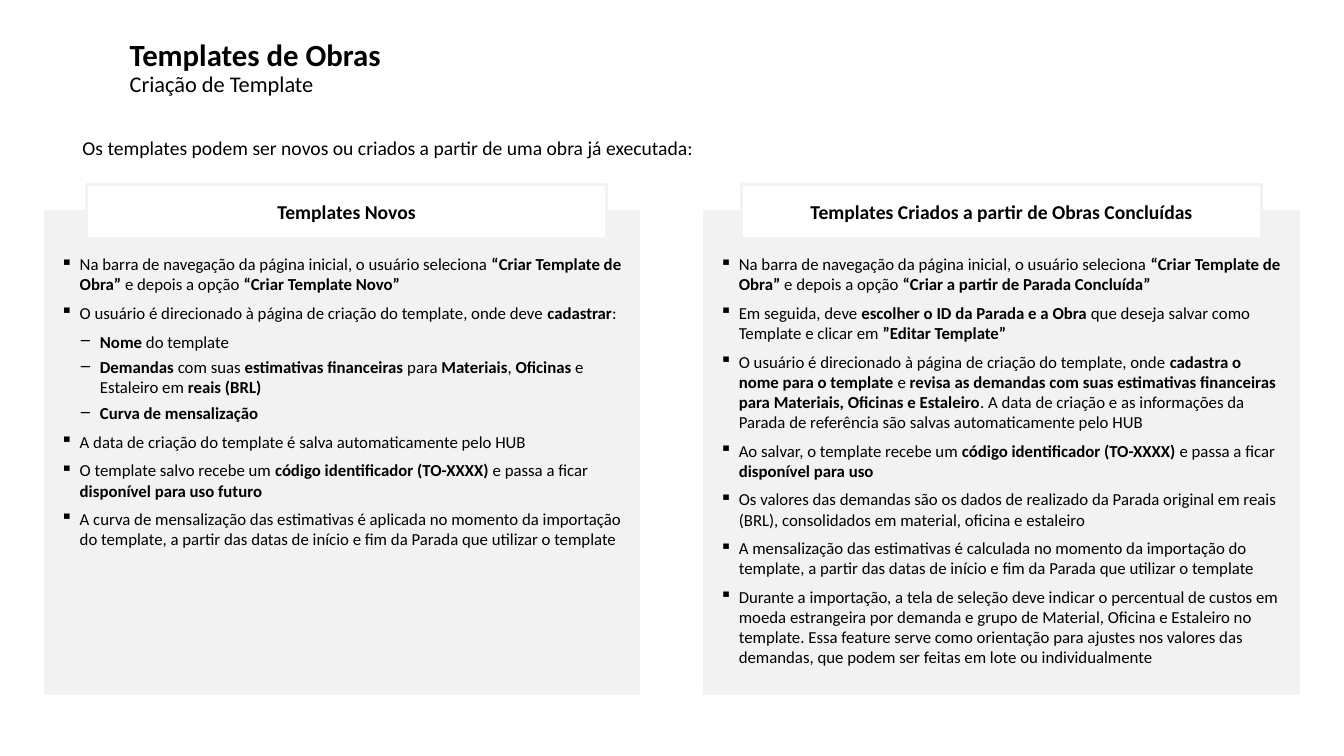
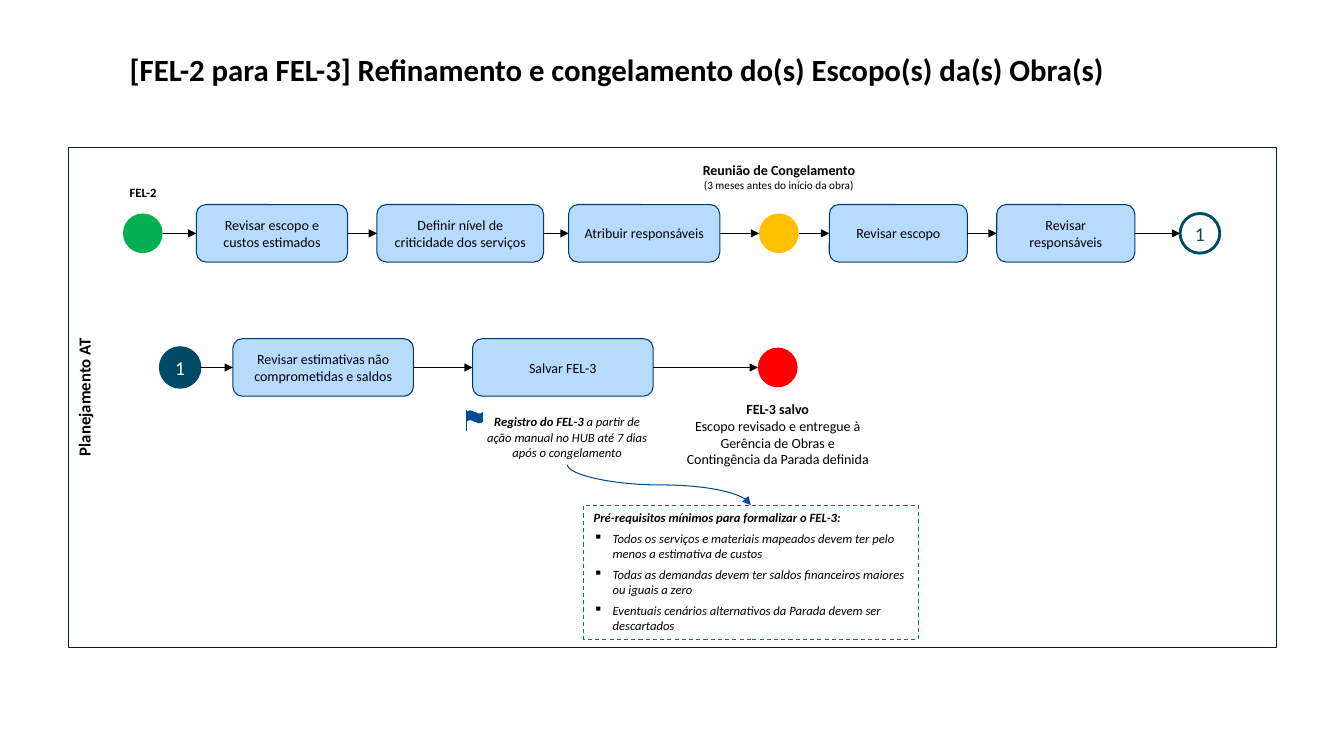
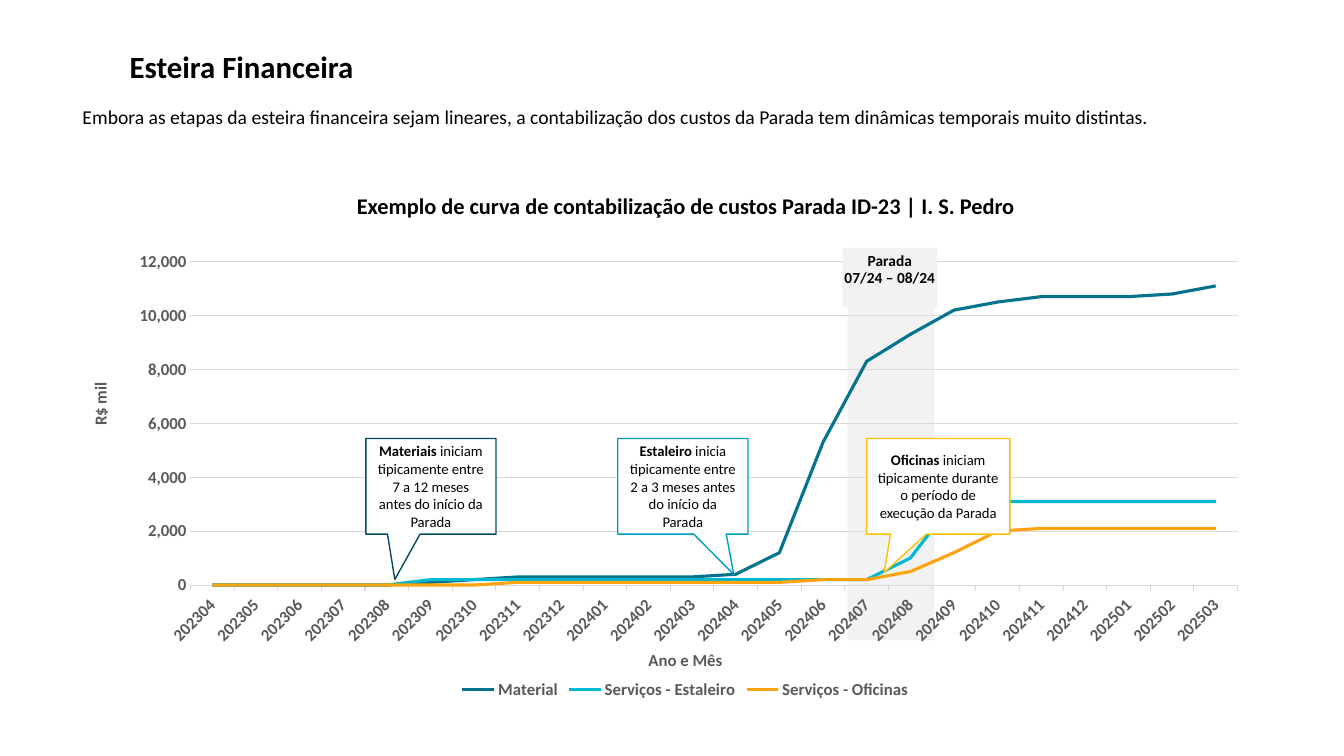
from dataclasses import dataclass

from lxml import etree
from pptx import Presentation
from pptx.chart.data import CategoryChartData
from pptx.dml.color import RGBColor
from pptx.enum.chart import XL_CHART_TYPE, XL_LEGEND_POSITION, XL_TICK_MARK
from pptx.enum.dml import MSO_LINE
from pptx.enum.shapes import MSO_CONNECTOR, MSO_SHAPE
from pptx.enum.text import MSO_ANCHOR, PP_ALIGN
from pptx.oxml.ns import qn
from pptx.util import Cm, Pt

LEFT, CENTER = PP_ALIGN.LEFT, PP_ALIGN.CENTER
TOP, MIDDLE = MSO_ANCHOR.TOP, MSO_ANCHOR.MIDDLE
RECT, ROUNDED, OVAL = MSO_SHAPE.RECTANGLE, MSO_SHAPE.ROUNDED_RECTANGLE, MSO_SHAPE.OVAL
CALLOUT, WAVE = MSO_SHAPE.RECTANGULAR_CALLOUT, MSO_SHAPE.WAVE
STRAIGHT, CURVE = MSO_CONNECTOR.STRAIGHT, MSO_CONNECTOR.CURVE


@dataclass(frozen=True)
class Theme:
    font: str = "Calibri"
    black: str = "000000"
    white: str = "FFFFFF"
    panel: str = "F2F2F2"
    grid: str = "D9D9D9"
    axis: str = "595959"
    step: str = "B7DBFF"
    step_edge: str = "003971"
    frame: str = "002142"
    navy: str = "014A65"
    link: str = "004A94"
    flag: str = "004C97"
    teal: str = "03738E"
    cyan: str = "00B9CE"
    sky: str = "009DC3"
    orange: str = "FDA30F"
    yellow: str = "FFC000"
    green: str = "00B050"
    red: str = "FF0000"
    title: float = 22
    subtitle: float = 16
    lead: float = 14
    body: float = 12
    label: float = 11
    callout: float = 10.5
    small: float = 10
    note: float = 9
    tiny: float = 8


T = Theme()

# Paragraph formats
ITEM = dict(bullet="▪", indent=0.48, before=6)
NOTE_ITEM = {**ITEM, "before": 4, "bold": False}
SUB_ITEM = dict(bullet="–", indent=0.99, before=4)
FIRST_SUB_ITEM = {**SUB_ITEM, "before": 6}

# Slide 1
TEMPLATES_LEAD = "Os templates podem ser novos ou criados a partir de uma obra já executada:"
NEW_STEPS = [
    ("Na barra de navegação da página inicial, o usuário seleciona **“Criar Template de Obra”** "
     "e depois a opção **“Criar Template Novo”**", ITEM),
    ("O usuário é direcionado à página de criação do template, onde deve **cadastrar**:", ITEM),
    ("**Nome** do template", FIRST_SUB_ITEM),
    ("**Demandas** com suas **estimativas financeiras **para **Materiais**, **Oficinas** "
     "e Estaleiro em **reais (BRL)**", SUB_ITEM),
    ("**Curva de mensalização**", SUB_ITEM),
    ("A data de criação do template é salva automaticamente pelo HUB", ITEM),
    ("O template salvo recebe um **código identificador (TO-XXXX) **e passa a ficar "
     "**disponível para uso futuro**", ITEM),
    ("A curva de mensalização das estimativas é aplicada no momento da importação do template, "
     "a partir das datas de início e fim da Parada que utilizar o template", ITEM),
]
REUSED_STEPS = [
    ("Na barra de navegação da página inicial, o usuário seleciona **“Criar Template de Obra”** "
     "e depois a opção **“Criar a partir de Parada Concluída”**", ITEM),
    ("Em seguida, deve **escolher o ID da Parada e a Obra **que deseja salvar como Template "
     "e clicar em **”Editar Template”**", ITEM),
    ("O usuário é direcionado à página de criação do template, onde **cadastra o nome para o "
     "template **e **revisa as demandas com suas estimativas financeiras para Materiais, "
     "Oficinas e Estaleiro**. A data de criação e as informações da Parada de referência são "
     "salvas automaticamente pelo HUB", ITEM),
    ("Ao salvar, o template recebe um **código identificador (TO-XXXX) **e passa a ficar "
     "**disponível para uso**", ITEM),
    ("Os valores das demandas são os dados de realizado da Parada original em reais (BRL), "
     "consolidados em material, oficina e estaleiro", ITEM),
    ("A mensalização das estimativas é calculada no momento da importação do template, "
     "a partir das datas de início e fim da Parada que utilizar o template", ITEM),
    ("Durante a importação, a tela de seleção deve indicar o percentual de custos em moeda "
     "estrangeira por demanda e grupo de Material, Oficina e Estaleiro no template. Essa feature "
     "serve como orientação para ajustes nos valores das demandas, que podem ser feitas em lote "
     "ou individualmente", ITEM),
]
# heading, panel left, heading left, steps
TEMPLATE_PANELS = [
    ("Templates Novos", 1.12, 2.18, NEW_STEPS),
    ("Templates Criados a partir de Obras Concluídas", 17.73, 18.69, REUSED_STEPS),
]

# Slide 2: row centre, then left, width and label of a step, or left, fill, edge and label of an event
STEP_HEIGHT, EVENT_SIZE = 1.45, 1.0
FLOW_ROWS = [
    (5.88, [
        dict(left=3.1, fill=T.green),
        dict(left=4.95, width=3.81, label="Revisar escopo e custos estimados"),
        dict(left=9.5, width=4.2, label="Definir nível de criticidade dos serviços"),
        dict(left=14.33, width=3.81, label="Atribuir responsáveis"),
        dict(left=19.13, fill=T.yellow),
        dict(left=20.9, width=3.48, label="Revisar escopo"),
        dict(left=25.12, width=3.48, label="Revisar responsáveis"),
        dict(left=29.74, fill=T.white, edge=T.navy, label="1", color=T.navy),
    ]),
    (9.26, [
        dict(left=4.04, fill=T.navy, edge=T.navy, label="1", color=T.white),
        dict(left=5.87, width=4.55, label="Revisar estimativas não comprometidas e saldos"),
        dict(left=11.91, width=4.55, label="Salvar FEL-3"),
        dict(left=19.1, fill=T.red),
    ]),
]
# box, paragraphs, format
FLOW_NOTES = [
    ((2.13, 4.52, 2.95, 0.64), ["**FEL-2**"], dict(size=T.note)),
    ((17.27, 3.94, 4.72, 1.02),
     ["**Reunião de Congelamento**", ("(3 meses antes do início da obra)", dict(size=T.tiny))],
     dict(size=T.small)),
    ((17.0, 9.96, 5.2, 1.96),
     ["**FEL-3 salvo**", "Escopo revisado e entregue à Gerência de Obras e",
      "Contingência da Parada definida"], dict(size=T.small)),
    ((11.94, 10.31, 4.7, 1.42),
     ["**Registro do FEL-3 **a partir de ação manual no HUB até 7 dias após o congelamento"],
     dict(size=T.note, italic=True)),
]
PREREQUISITES = [
    "**Pré-requisitos mínimos para formalizar o FEL-3:**",
    ("Todos os serviços e materiais mapeados devem ter pelo menos a estimativa de custos", NOTE_ITEM),
    ("Todas as demandas devem ter saldos financeiros maiores ou iguais a zero", NOTE_ITEM),
    ("Eventuais cenários alternativos da Parada devem ser descartados", NOTE_ITEM),
]

# Slide 3
FINANCE_LEAD = ("Embora as etapas da esteira financeira sejam lineares, a contabilização dos custos "
                "da Parada tem dinâmicas temporais muito distintas.")
CHART_HEADING = "Exemplo de curva de contabilização de custos Parada ID-23 | I. S. Pedro"
MONTHS = [f"{year}{month:02}" for year, first, last in ((2023, 4, 12), (2024, 1, 12), (2025, 1, 3))
          for month in range(first, last + 1)]
COSTS = [
    ("Material", T.teal, [0] * 5 + [100, 200] + [300] * 5 + [
        400, 1200, 5300, 8300, 9300, 10200, 10500, 10700, 10700, 10700, 10800, 11100]),
    ("Serviços - Estaleiro", T.cyan, [0] * 5 + [200] * 11 + [1000] + [3100] * 7),
    ("Serviços - Oficinas", T.orange,
     [0] * 7 + [100] * 7 + [200, 200, 500, 1200, 2000] + [2100] * 5),
]
# left, width, pointer, edge, text
CALLOUTS = [
    (9.22, 3.28, (-0.277, 0.974), T.navy,
     "**Materiais** iniciam tipicamente entre 7 a 12 meses antes do início da Parada"),
    (15.57, 3.28, (0.391, 0.921), T.sky,
     "**Estaleiro** inicia tipicamente entre 2 a 3 meses antes do início da Parada"),
    (21.84, 3.61, (-0.376, 0.899), T.yellow,
     "**Oficinas** iniciam tipicamente durante o período de execução da Parada"),
]


def rgb(code):
    return RGBColor.from_string(code)


def write(shape, paragraphs, *, anchor=TOP, insets=(0.25, 0.13), **base):
    """Fill a shape with paragraphs: strings, or (string, format) pairs; ** marks bold."""
    frame = shape.text_frame
    frame.word_wrap = True
    frame.vertical_anchor = anchor
    frame.margin_left = frame.margin_right = Cm(insets[0])
    frame.margin_top = Cm(insets[1])
    frame.margin_bottom = Cm(min(insets[1], 0.13))
    for index, entry in enumerate(paragraphs):
        words, own = (entry, {}) if isinstance(entry, str) else entry
        style = {**base, **own}
        paragraph = frame.add_paragraph() if index else frame.paragraphs[0]
        paragraph.alignment = style.get("align", LEFT)
        paragraph.line_spacing = style.get("spacing", 1.0)
        paragraph.space_before = Pt(style.get("before", 0) if index else 0)
        if "bullet" in style:
            props = paragraph._p.get_or_add_pPr()
            props.set("marL", str(Cm(style["indent"])))
            props.set("indent", str(-Cm(ITEM["indent"])))
            etree.SubElement(props, qn("a:buChar")).set("char", style["bullet"])
        for part, piece in enumerate(words.split("**")):
            if not piece:
                continue
            run = paragraph.add_run()
            run.text = piece
            set_font(run.font, style["size"], style.get("color", T.black),
                     bool(part % 2) or style.get("bold", False))
            run.font.italic = style.get("italic", False)


def set_font(font, size, color, bold):
    font.name, font.size, font.bold = T.font, Pt(size), bold
    font.color.rgb = rgb(color)


def add_text(slide, box, paragraphs, rotation=0, **style):
    area = slide.shapes.add_textbox(*map(Cm, box))
    area.rotation = rotation
    write(area, paragraphs, **style)


def add_block(slide, kind, box, fill=None, edge=None, weight=0.75):
    block = slide.shapes.add_shape(kind, *map(Cm, box))
    block.shadow.inherit = False
    if fill:
        block.fill.solid()
        block.fill.fore_color.rgb = rgb(fill)
    else:
        block.fill.background()
    if edge:
        block.line.color.rgb = rgb(edge)
        block.line.width = Pt(weight)
    else:
        block.line.fill.background()
    return block


def add_link(slide, start, end, color=T.black, kind=STRAIGHT, arrow=True):
    link = slide.shapes.add_connector(kind, *map(Cm, (*start, *end)))
    link.line.color.rgb = rgb(color)
    link.line.width = Pt(0.75)
    props = link._element.spPr
    if arrow:
        etree.SubElement(props.find(qn("a:ln")), qn("a:tailEnd")).set("type", "triangle")
    etree.SubElement(props, qn("a:effectLst"))
    return link


def add_falling_curve(slide, start, end, color):
    """Draw a curve that leaves and arrives vertically: a horizontal one, turned by 270°."""
    (x1, y1), (x2, y2) = start, end
    middle_x, middle_y = (x1 + x2) / 2, (y1 + y2) / 2
    half_run, half_drop = (x2 - x1) / 2, (y2 - y1) / 2
    curve = add_link(slide, (middle_x + half_drop, middle_y - half_run),
                     (middle_x - half_drop, middle_y + half_run), color, CURVE)
    curve._element.spPr.find(qn("a:xfrm")).set("rot", str(270 * 60000))


def add_slide(deck, title, spacing=0.9):
    slide = deck.slides.add_slide(deck.slide_layouts[6])
    add_text(slide, (3.02, 0.84, 29.13, 1.8), title, anchor=MIDDLE, size=T.title, spacing=spacing)
    return slide


def add_lead(slide, top, height, words, anchor):
    add_text(slide, (1.93, top, 30, height), [words], anchor=anchor, insets=(0.15, 0.13), size=T.lead)


def build_templates(deck):
    slide = add_slide(deck, ["**Templates de Obras**", ("Criação de Template", dict(size=T.subtitle))])
    add_lead(slide, 3, 1.45, TEMPLATES_LEAD, MIDDLE)
    for heading, panel_left, heading_left, steps in TEMPLATE_PANELS:
        panel = add_block(slide, RECT, (panel_left, 5.31, 15.01, 12.19), T.panel, T.panel)
        write(panel, steps, insets=(0.41, 1.09), size=T.body)
        tab = add_block(slide, RECT, (heading_left, 4.65, 13.11, 1.35), T.white, T.panel, 2)
        write(tab, [heading], anchor=MIDDLE, align=CENTER, size=T.lead, bold=True)


def add_flow_node(slide, middle, node):
    """Draw a step (which has a width) or a round event; return its left and right edges."""
    left, label = node["left"], node.get("label")
    width = node.get("width", EVENT_SIZE)
    if "width" in node:
        step = add_block(slide, ROUNDED, (left, middle - STEP_HEIGHT / 2, width, STEP_HEIGHT),
                         T.step, T.step_edge)
        write(step, [label], anchor=MIDDLE, align=CENTER, size=T.small)
    else:
        event = add_block(slide, OVAL, (left, middle - EVENT_SIZE / 2, EVENT_SIZE, EVENT_SIZE),
                          node["fill"], node.get("edge"), 2)
        if label:
            write(event, [label], anchor=MIDDLE, insets=(0, 0), align=CENTER,
                  size=T.lead, color=node["color"])
    return left, left + width


def build_flow(deck):
    slide = add_slide(deck, ["**[FEL-2 para FEL-3] Refinamento e congelamento do(s) Escopo(s) "
                             "da(s) Obra(s)**"], spacing=1.0)
    add_block(slide, RECT, (1.73, 3.71, 30.43, 12.6), edge=T.frame)
    add_text(slide, (0.33, 9.63, 3.56, 0.76), ["**Planejamento AT**"], rotation=270,
             align=CENTER, size=T.body)
    for middle, nodes in FLOW_ROWS:
        edges = [add_flow_node(slide, middle, node) for node in nodes]
        for (_, start), (end, _) in zip(edges, edges[1:]):
            add_link(slide, (start, middle), (end, middle))
    for box, paragraphs, style in FLOW_NOTES:
        add_text(slide, box, paragraphs, align=CENTER, **style)
    add_block(slide, WAVE, (11.76, 10.34, 0.41, 0.33), T.flag)
    add_link(slide, (11.76, 10.34), (11.76, 10.87), T.link, arrow=False)
    prerequisites = add_block(slide, RECT, (14.71, 12.73, 8.43, 3.38), edge=T.teal)
    prerequisites.line.dash_style = MSO_LINE.DASH
    write(prerequisites, PREREQUISITES, size=T.note, italic=True)
    add_falling_curve(slide, (14.3, 11.71), (18.92, 12.73), T.link)


def clear_background(parent, after=None):
    """Give a chart part an explicit empty fill and line."""
    props = etree.SubElement(parent, qn("c:spPr"))
    etree.SubElement(props, qn("a:noFill"))
    etree.SubElement(etree.SubElement(props, qn("a:ln")), qn("a:noFill"))
    if after is not None:
        after.addnext(props)


def fix_plot_area(area, **fractions):
    """Place the inner plot area by fractions of the chart."""
    for old in area.findall(qn("c:layout")):
        area.remove(old)
    layout = etree.Element(qn("c:layout"))
    manual = etree.SubElement(layout, qn("c:manualLayout"))
    settings = dict(layoutTarget="inner", xMode="edge", yMode="edge", **fractions)
    for tag, value in settings.items():
        etree.SubElement(manual, qn(f"c:{tag}")).set("val", str(value))
    area.insert(0, layout)


def add_cost_chart(slide):
    data = CategoryChartData(number_format="#,##0")
    data.categories = MONTHS
    for name, _, values in COSTS:
        data.add_series(name, values)
    box = map(Cm, (2.77, 6.25, 29, 11.48))
    chart = slide.shapes.add_chart(XL_CHART_TYPE.LINE, *box, data).chart
    chart.has_title = False
    set_font(chart.font, T.small, T.black, False)
    chart.has_legend = True
    chart.legend.position = XL_LEGEND_POSITION.BOTTOM
    chart.legend.include_in_layout = False
    months, amounts = chart.category_axis, chart.value_axis
    for part in (chart.legend.font, months.tick_labels.font, amounts.tick_labels.font):
        set_font(part, T.body, T.axis, True)
    months.major_tick_mark = XL_TICK_MARK.OUTSIDE
    months._element.find(qn("c:txPr")).find(qn("a:bodyPr")).set("rot", str(-45 * 60000))
    amounts.major_tick_mark = XL_TICK_MARK.NONE
    amounts.minimum_scale, amounts.maximum_scale, amounts.major_unit = 0, 12000, 2000
    amounts.tick_labels.number_format = "#,##0"
    amounts.tick_labels.number_format_is_linked = False
    amounts.format.line.fill.background()
    for line in (months.format.line, amounts.major_gridlines.format.line):
        line.color.rgb = rgb(T.grid)
        line.width = Pt(0.75)
    plot = chart.plots[0]
    plot.vary_by_categories = False
    for series, (_, color, _) in zip(plot.series, COSTS):
        series.smooth = False
        series.format.line.color.rgb = rgb(color)
        series.format.line.width = Pt(2.25)
    space = chart._chartSpace
    body = space.find(qn("c:chart"))
    area = body.find(qn("c:plotArea"))
    fix_plot_area(area, x=0.07, y=0.03, w=0.91, h=0.71)
    clear_background(area)
    clear_background(space, after=body)


def build_finance(deck):
    slide = add_slide(deck, ["**Esteira Financeira**"])
    add_lead(slide, 2.51, 1.8, FINANCE_LEAD, TOP)
    add_block(slide, RECT, (21.36, 7.21, 2.18, 8.92), T.panel)
    add_cost_chart(slide)
    caption = dict(insets=(0.1, 0.13), align=CENTER, spacing=0.9, bold=True)
    add_text(slide, (12.22, 16.31, 10.11, 0.76), ["Ano e Mês"], size=T.body, color=T.axis, **caption)
    add_text(slide, (0.57, 9.8, 4, 0.76), ["R$ mil"], rotation=270, size=T.body, color=T.axis,
             **caption)
    add_text(slide, (8.33, 4.78, 17.91, 0.91), [CHART_HEADING], size=T.subtitle, **caption)
    stop = add_block(slide, RECT, (21.23, 6.25, 2.39, 1.5), T.panel)
    write(stop, ["Parada", "07/24 – 08/24"], size=T.label, **{**caption, "insets": (0, 0.13)})
    for left, width, pointer, edge, words in CALLOUTS:
        callout = add_block(slide, CALLOUT, (left, 11.05, width, 2.41), T.white, edge, 1)
        callout.adjustments[0], callout.adjustments[1] = pointer
        write(callout, [words], anchor=MIDDLE, align=CENTER, size=T.callout)


def main():
    deck = Presentation()
    deck.slide_width, deck.slide_height = Cm(33.87), Cm(19.05)
    build_templates(deck)
    build_flow(deck)
    build_finance(deck)
    deck.save("out.pptx")


if __name__ == "__main__":
    main()
